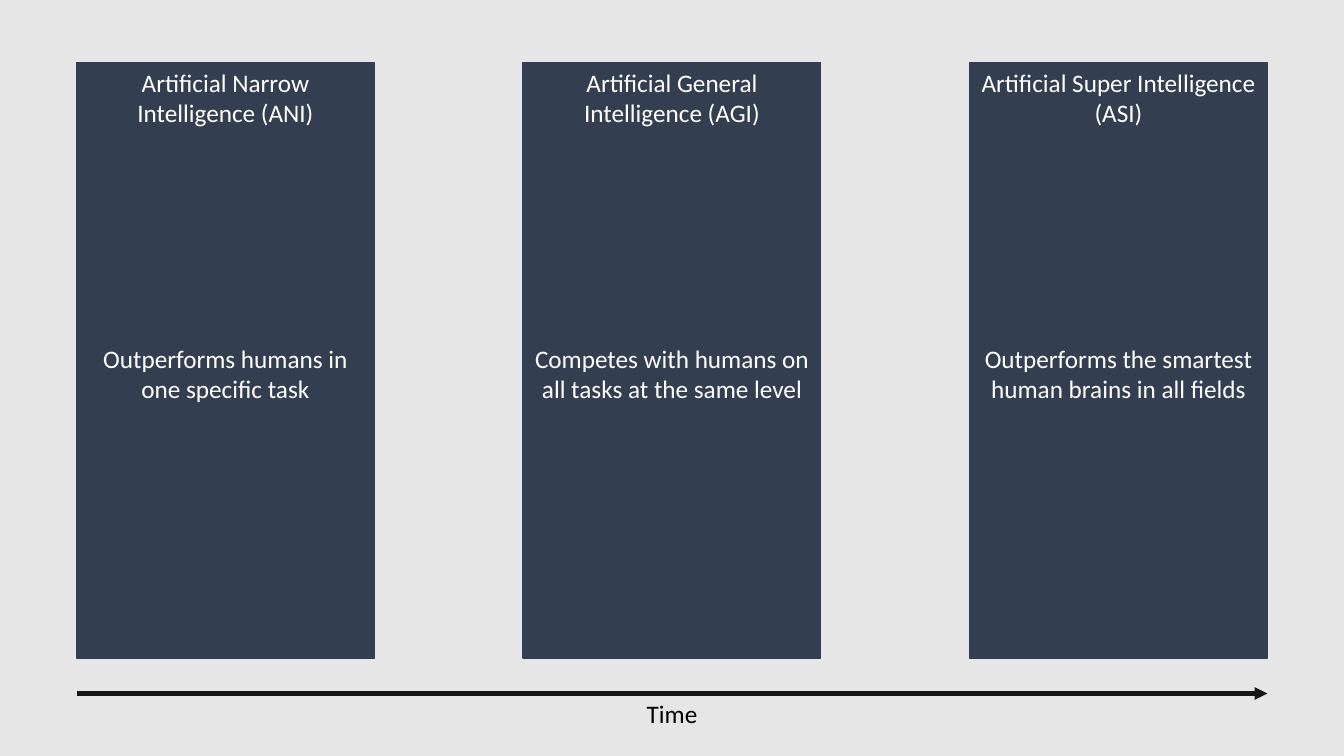
from lxml.etree import SubElement
from pptx import Presentation
from pptx.dml.color import RGBColor
from pptx.enum.shapes import MSO_CONNECTOR as Connector, MSO_SHAPE as Shape
from pptx.enum.text import MSO_ANCHOR as Anchor, PP_ALIGN as Align
from pptx.oxml.ns import qn
from pptx.util import Inches, Pt

BACKGROUND = RGBColor(0xE7, 0xE6, 0xE6)
NAVY = RGBColor(0x33, 0x3F, 0x50)
WHITE = RGBColor(0xFF, 0xFF, 0xFF)
INK = RGBColor(0x18, 0x17, 0x17)
BLACK = RGBColor(0, 0, 0)

STAGES = [
    ("Artificial Narrow Intelligence (ANI)", "Outperforms humans in one specific task"),
    ("Artificial General Intelligence (AGI)", "Competes with humans on all tasks at the same level"),
    ("Artificial Super Intelligence (ASI)", "Outperforms the smartest human brains in all fields"),
]
STAGE_SHARE = 0.25


def write(paragraph, wording, color):
    paragraph.text = wording
    paragraph.alignment = Align.CENTER
    for run in paragraph.runs:
        run.font.name = "Calibri"
        run.font.size = Pt(18)
        run.font.color.rgb = color


def add_stage(slide, left, top, width, height, heading, ability):
    panel = slide.shapes.add_shape(Shape.RECTANGLE, left, top, width, height)
    panel.shadow.inherit = False
    panel.fill.solid()
    panel.fill.fore_color.rgb = NAVY
    panel.line.color.rgb = NAVY
    panel.line.width = Pt(1)
    frame = panel.text_frame
    frame.word_wrap = True
    frame.vertical_anchor = Anchor.TOP
    write(frame.paragraphs[0], heading, WHITE)
    description = frame.add_paragraph()
    write(description, ability, WHITE)
    description.space_before = Pt(154)


def add_stages(slide, left, top, width, height):
    stage_width = int(width * STAGE_SHARE)
    step = (width - stage_width) // (len(STAGES) - 1)
    for column, (heading, ability) in enumerate(STAGES):
        add_stage(slide, left + column * step, top, stage_width, height, heading, ability)


def add_time_axis(slide, left, top, width, height):
    axis = slide.shapes.add_connector(Connector.STRAIGHT, left, top, left + width, top)
    axis.line.color.rgb = INK
    axis.line.width = Pt(3)
    SubElement(axis.line._get_or_add_ln(), qn("a:tailEnd"), type="triangle")
    SubElement(axis._element.spPr, qn("a:effectLst"))

    label_width = Inches(0.75)
    label_left = left + (width - label_width) // 2
    label = slide.shapes.add_textbox(label_left, top, label_width, height)
    label.text_frame.word_wrap = True
    write(label.text_frame.paragraphs[0], "Time", BLACK)


def build_slide(deck):
    slide = deck.slides.add_slide(deck.slide_layouts[6])
    slide.background.fill.solid()
    slide.background.fill.fore_color.rgb = BACKGROUND
    margin = Inches(0.76)
    content_width = deck.slide_width - 2 * margin
    add_stages(slide, margin, Inches(0.62), content_width, Inches(5.91))
    add_time_axis(slide, margin, Inches(6.88), content_width, Inches(0.4))


deck = Presentation()
deck.slide_width = Inches(13.33)
deck.slide_height = Inches(7.5)
build_slide(deck)
deck.save("out.pptx")
